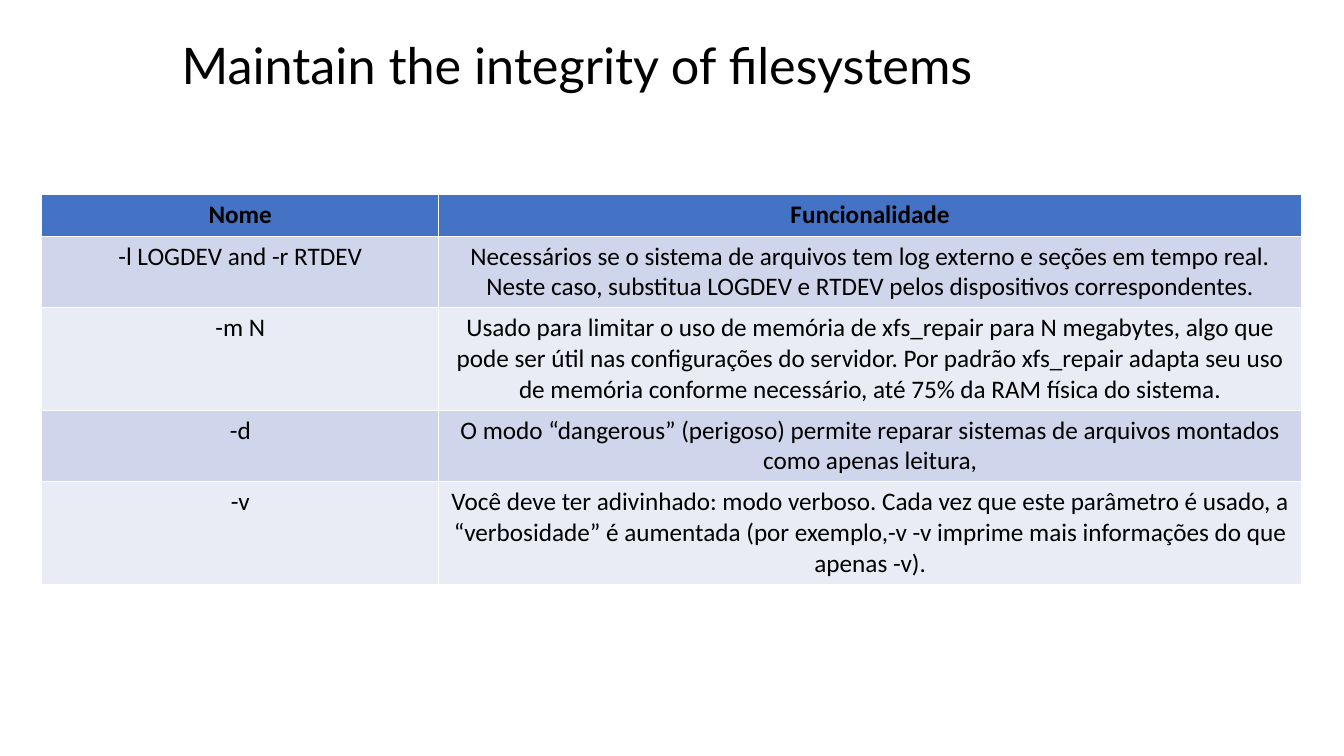
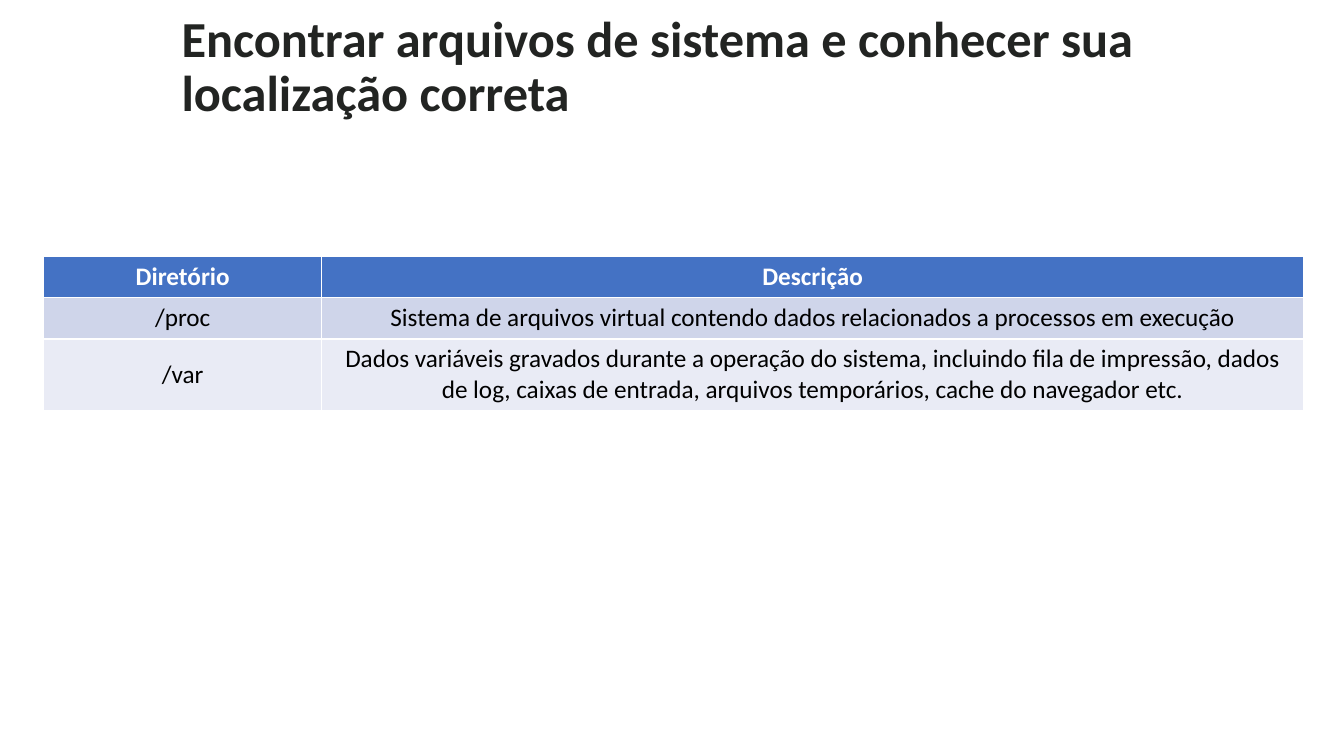
from pptx import Presentation
from pptx.dml.color import RGBColor as Rgb
from pptx.enum.text import MSO_ANCHOR as Anchor, MSO_AUTO_SIZE as Fit, PP_ALIGN as Align
from pptx.util import Cm, Pt

HEX = {"head": "4472C4", "odd": "CFD5EA", "even": "E9EBF5",
       "black": "000000", "white": "FFFFFF", "dark": "222422"}
ROW = Cm(1.04)


def style(par, font, size, color, bold):
    for run in par.runs:
        run.font.name = font
        run.font.size = Pt(size)
        run.font.bold = bold
        run.font.color.rgb = Rgb.from_string(HEX[color])


# Slide content
pages = [
    {"title": "Maintain the integrity of filesystems",
     "font": "Lato", "color": "black", "bold": False,
     "left": 1.05, "top": 4.91, "cols": (10.01, 21.74),
     "anchor": Anchor.TOP, "head": "black",
     "rows": [
         ("Nome", "Funcionalidade"),
         ("-l LOGDEV and -r RTDEV",
          "Necessários se o sistema de arquivos tem log externo e seções em tempo real. "
          "Neste caso, substitua LOGDEV e RTDEV pelos dispositivos correspondentes."),
         ("-m N",
          "Usado para limitar o uso de memória de xfs_repair para N megabytes, algo que "
          "pode ser útil nas configurações do servidor. Por padrão xfs_repair adapta seu uso "
          "de memória conforme necessário, até 75% da RAM física do sistema."),
         ("-d",
          "O modo “dangerous” (perigoso) permite reparar sistemas de arquivos montados "
          "como apenas leitura,"),
         ("-v",
          "Você deve ter adivinhado: modo verboso. Cada vez que este parâmetro é usado, a "
          "“verbosidade” é aumentada (por exemplo,-v -v imprime mais informações do que "
          "apenas -v)."),
     ]},
    {"title": "Encontrar arquivos de sistema e conhecer sua localização correta",
     "font": "Calibri", "color": "dark", "bold": True,
     "left": 1.1, "top": 6.46, "cols": (7.01, 24.74),
     "anchor": Anchor.MIDDLE, "head": "white",
     "rows": [
         ("Diretório", "Descrição"),
         ("/proc",
          "Sistema de arquivos virtual contendo dados relacionados a processos em execução"),
         ("/var",
          "Dados variáveis gravados durante a operação do sistema, incluindo fila de impressão, "
          "dados de log, caixas de entrada, arquivos temporários, cache do navegador etc."),
     ]},
]

deck = Presentation()
deck.slide_width, deck.slide_height = Cm(33.87), Cm(19.05)

# Shared title place
layout = deck.slide_layouts[5]
base = layout.placeholders[0]
base.left, base.top, base.width, base.height = Cm(4.32), Cm(0.66), Cm(28.52), Cm(2.13)

for page in pages:
    slide = deck.slides.add_slide(layout)

    # Title
    frame = slide.shapes.title.text_frame
    frame.text = page["title"]
    frame.word_wrap = True
    frame.auto_size = Fit.NONE
    frame.vertical_anchor = Anchor.MIDDLE
    par = frame.paragraphs[0]
    par.alignment = Align.LEFT
    par.line_spacing = 0.9
    style(par, page["font"], 36, page["color"], page["bold"])

    # Table
    rows, cols = page["rows"], page["cols"]
    table = slide.shapes.add_table(
        len(rows), len(cols), Cm(page["left"]), Cm(page["top"]),
        Cm(sum(cols)), ROW * len(rows)).table
    for col, width in zip(table.columns, cols):
        col.width = Cm(width)
    for r, row in enumerate(rows):
        top = r == 0
        fill = "head" if top else "odd" if r % 2 else "even"
        for c, text in enumerate(row):
            cell = table.cell(r, c)
            cell.text = text
            cell.vertical_anchor = page["anchor"]
            cell.fill.solid()
            cell.fill.fore_color.rgb = Rgb.from_string(HEX[fill])
            par = cell.text_frame.paragraphs[0]
            par.alignment = Align.CENTER
            style(par, "Calibri", 18, page["head"] if top else "black", top)

deck.save("out.pptx")
